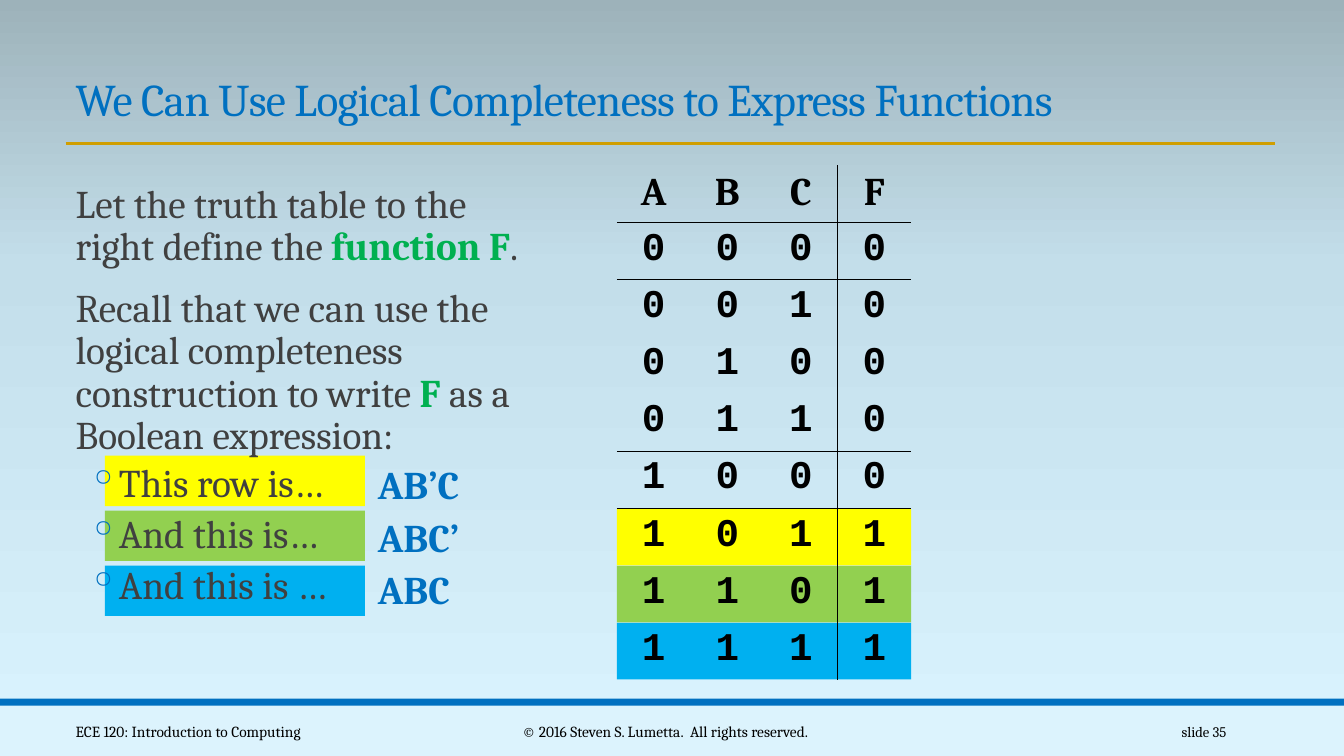
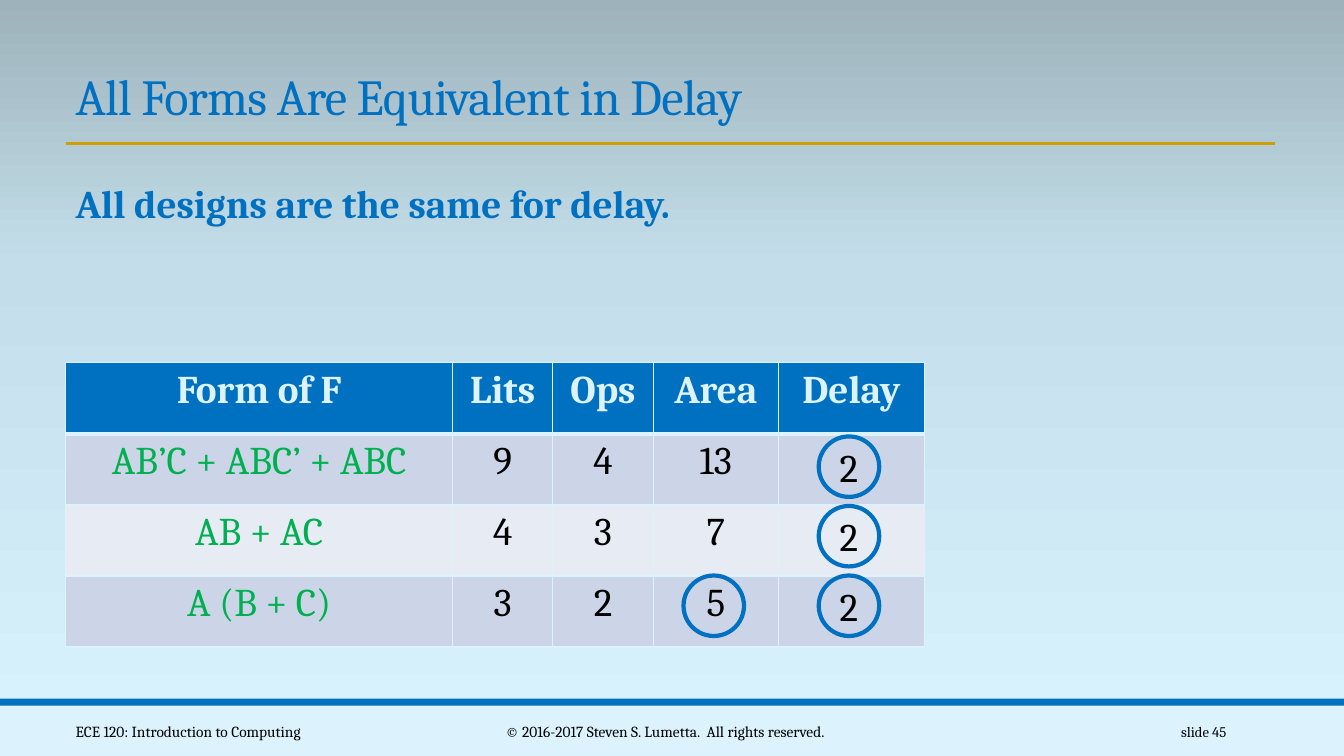
from pptx import Presentation
from pptx.dml.color import RGBColor
from pptx.enum.shapes import MSO_CONNECTOR, MSO_SHAPE
from pptx.enum.text import MSO_ANCHOR, MSO_AUTO_SIZE, PP_ALIGN
from pptx.oxml.ns import qn
from pptx.util import Inches, Pt
from copy import deepcopy
from lxml.etree import SubElement

BLUE = RGBColor(0x00, 0x70, 0xC0)
PALE = RGBColor(0xDC, 0xF3, 0xFD)
GOLD = RGBColor(0xD0, 0x9E, 0x00)
GREEN = RGBColor(0x00, 0xB0, 0x50)
GRAY = RGBColor(0x40, 0x40, 0x40)
BLACK = RGBColor(0x00, 0x00, 0x00)
YELLOW = RGBColor(0xFF, 0xFF, 0x00)
LIME = RGBColor(0x92, 0xD0, 0x50)
SKY = RGBColor(0x00, 0xB0, 0xF0)
STRIPES = [RGBColor(0xE7, 0xEB, 0xF4), RGBColor(0xCC, 0xD5, 0xE8)]
BACKDROP = [
    (0, RGBColor(0xDA, 0xF4, 0xFF)),
    (0.65, RGBColor(0xC3, 0xDE, 0xEA)),
    (1, RGBColor(0x9D, 0xB2, 0xBA)),
]
NO_GRID = "{2D5ABB26-0587-4C30-8999-92F81FD0307C}"
MARGIN = 4.88
TABLE_LEFT = 45.9
TABLE_WIDTH = 21.9

deck = Presentation()
deck.slide_width, deck.slide_height = Inches(13.33), Inches(7.5)


def area(*percents):
    sides = (deck.slide_width, deck.slide_height) * 2
    return [round(side * share / 100) for side, share in zip(sides, percents)]


def write(paragraph, text, color, **look):
    for number, line in enumerate(text.split("\n")):
        if number:
            paragraph.add_line_break()
        run = paragraph.add_run()
        run.text = line
        run.font.color.rgb = color
        for key, value in ({"name": "Cambria", "size": Pt(28)} | look).items():
            setattr(run.font, key, value)
    return run


backdrop = deck.slide_master.background.fill
backdrop.gradient()
backdrop.gradient_angle = 90
first_stop = backdrop.gradient_stops[0]._gs
first_stop.addnext(deepcopy(first_stop))
for stop, (position, color) in zip(backdrop.gradient_stops, BACKDROP):
    stop.position = position
    stop.color.rgb = color

plain = {"left": 0.1, "hang": 0, "bullet": None, "before": 12, "after": 2}
bullet = {"left": 0.42, "hang": -0.2, "bullet": "◦", "before": 2, "after": 4}
pages = [
    ("We Can Use Logical Completeness to Express Functions", 32.4, "2016", 35, [
        (plain, [("Let the truth table to the\nright define the ", GRAY, False),
                 ("function F", GREEN, True), (".", GRAY, False)]),
        (plain, [("Recall that we can use the\nlogical completeness\nconstruction to write ", GRAY, False),
                 ("F", GREEN, True), (" as a\nBoolean expression:", GRAY, False)]),
        (bullet, [("This row is…", GRAY, False)]),
        (bullet, [("And this is…", GRAY, False)]),
        (bullet, [("And this is …", GRAY, False)]),
    ], [YELLOW, LIME, SKY]),
    ("All Forms Are Equivalent in Delay", 36, "2016-2017", 45, [
        (plain, [("All designs are the same for delay.", BLUE, True)]),
    ], []),
]

for heading, heading_size, years, number, body, highlights in pages:
    slide = deck.slides.add_slide(deck.slide_layouts[5])
    blocks = [((0, 93.33, 100, 6.67), PALE), ((0, 92.4, 100, 0.93), BLUE)]
    for row, color in enumerate(highlights):
        blocks.append(((7.8, 60.27 + 7.27 * row, 19.35, 6.67), color))
        blocks.append(((TABLE_LEFT, 67.33 + 7.53 * row, TABLE_WIDTH, 7.47), color))
    for place, color in blocks:
        block = slide.shapes.add_shape(MSO_SHAPE.RECTANGLE, *area(*place))
        block.shadow.inherit = False
        block.fill.solid()
        block.fill.fore_color.rgb = color
        block.line.fill.background()

    rule = slide.shapes.add_connector(
        MSO_CONNECTOR.STRAIGHT, *area(MARGIN, 18.93, MARGIN + 90, 18.93))
    rule.line.color.rgb = GOLD
    rule.line.width = Pt(2)
    SubElement(rule._element.spPr, qn("a:effectLst"))

    title = slide.shapes.title
    title.left, title.top, title.width, title.height = area(MARGIN, 7.87, 90, 9.47)
    for key, value in {"vertical_anchor": MSO_ANCHOR.BOTTOM, "word_wrap": True,
                       "auto_size": MSO_AUTO_SIZE.NONE}.items():
        setattr(title.text_frame, key, value)
    line = title.text_frame.paragraphs[0]
    line.alignment = PP_ALIGN.LEFT
    line.line_spacing = 0.85
    write(line, heading, BLUE, size=Pt(heading_size)).font._element.set("spc", "-50")

    story = slide.shapes.add_textbox(*area(MARGIN, 23.73, 63.9, 61.87)).text_frame
    story.word_wrap = True
    story.margin_left = story.margin_right = 0
    for index, (style, pieces) in enumerate(body):
        line = story.add_paragraph() if index else story.paragraphs[0]
        layout = line._p.get_or_add_pPr()
        layout.set("marL", str(Inches(style["left"])))
        layout.set("indent", str(Inches(style["hang"])))
        line.line_spacing = 0.9
        line.space_before = Pt(style["before"] if index else 0)
        line.space_after = Pt(style["after"])
        if style["bullet"]:
            tint = SubElement(layout, qn("a:buClr"))
            SubElement(tint, qn("a:srgbClr"), val=str(BLUE))
            SubElement(layout, qn("a:buChar"), char=style["bullet"])
        for text, color, bold in pieces:
            write(line, text, color, bold=bold)

    for text, left, width, alignment, size in [
        ("ECE 120: Introduction to Computing", MARGIN, 24.38, PP_ALIGN.LEFT, 11),
        (f"© {years} Steven S. Lumetta.  All rights reserved.", 30.23, 38.56, PP_ALIGN.CENTER, 11),
        (f"slide {number}", 81.25, 10.73, PP_ALIGN.RIGHT, 10.5),
    ]:
        footer = slide.shapes.add_textbox(*area(left, 94.13, width, 5.33)).text_frame
        footer.word_wrap = True
        footer.vertical_anchor = MSO_ANCHOR.MIDDLE
        footer.paragraphs[0].alignment = alignment
        write(footer.paragraphs[0], text, BLACK, size=Pt(size))

truth_slide, delay_slide = deck.slides

for row, product in enumerate(["AB’C", "ABC’", "ABC"]):
    label = truth_slide.shapes.add_textbox(*area(27.38, 60.27 + 6.93 * row, 9, 7.6)).text_frame
    label.word_wrap = True
    write(label.paragraphs[0], product, BLUE, bold=True)

truth_rows = ["ABCF"] + [f"{row:03b}{int(row > 4)}" for row in range(8)]
form_rows = [
    ("Form of F", "Lits", "Ops", "Area", "Delay"),
    ("AB’C + ABC’ + ABC", "9", "4", "13", ""),
    ("AB + AC", "4", "3", "7", ""),
    ("A (B + C)", "3", "2", "5", ""),
]
tables = [
    (truth_slide, TABLE_LEFT, 21.87, [TABLE_WIDTH / 4] * 4, 7.2, truth_rows),
    (delay_slide, MARGIN, 48, [28.81, 7.43, 7.5, 9.3, 10.88], 9.4, form_rows),
]
for slide, left, top, widths, row_height, rows in tables:
    is_truth = slide is truth_slide
    table = slide.shapes.add_table(
        len(rows), len(widths),
        *area(left, top, sum(widths), row_height * len(rows))).table
    table.first_row = table.horz_banding = False
    table._tbl.tblPr.find(qn("a:tableStyleId")).text = NO_GRID
    for column, width in zip(table.columns, widths):
        column.width = area(width)[0]
    for r, texts in enumerate(rows):
        table.rows[r].height = area(0, row_height)[1]
        for c, text in enumerate(texts):
            cell = table.cell(r, c)
            if is_truth:
                edges = {"L": c == 3, "R": c == 2, "T": r in (1, 5), "B": r in (0, 4)}
                color, bold = BLACK, True
                font = "Courier New" if r else "Cambria"
            else:
                edges = {"L": 1, "R": 1, "T": 3 if r == 1 else 1, "B": 1 if r else 3}
                color = PALE if r == 0 else BLACK if c else GREEN
                bold, font = r == 0, "Cambria"
            for side, weight in edges.items():
                if weight:
                    edge = SubElement(cell._tc.get_or_add_tcPr(), qn(f"a:ln{side}"), w=str(Pt(weight)))
                    ink = SubElement(edge, qn("a:solidFill"))
                    SubElement(ink, qn("a:srgbClr"), val=str(BLACK if is_truth else PALE))
            if is_truth:
                cell.fill.background()
            else:
                cell.fill.solid()
                cell.fill.fore_color.rgb = STRIPES[r % 2] if r else BLUE
            if text:
                line = cell.text_frame.paragraphs[0]
                line.alignment = PP_ALIGN.CENTER
                write(line, text, color, bold=bold, name=font)

for left, row, delay in [(60.92, 0, "2"), (60.92, 1, "2"), (60.92, 2, "2"), (50.86, 2, "")]:
    ring = delay_slide.shapes.add_shape(
        MSO_SHAPE.OVAL, *area(left, 57.73 + 9.2 * row, 4.5, 8))
    ring.shadow.inherit = False
    ring.fill.background()
    ring.line.color.rgb = BLUE
    ring.line.width = Pt(3)
    if delay:
        for key, value in {"margin_left": 0, "margin_right": 0, "margin_top": 0, "margin_bottom": 0,
                           "vertical_anchor": MSO_ANCHOR.MIDDLE}.items():
            setattr(ring.text_frame, key, value)
        ring.text_frame.paragraphs[0].alignment = PP_ALIGN.CENTER
        write(ring.text_frame.paragraphs[0], delay, BLACK)

deck.save("out.pptx")
